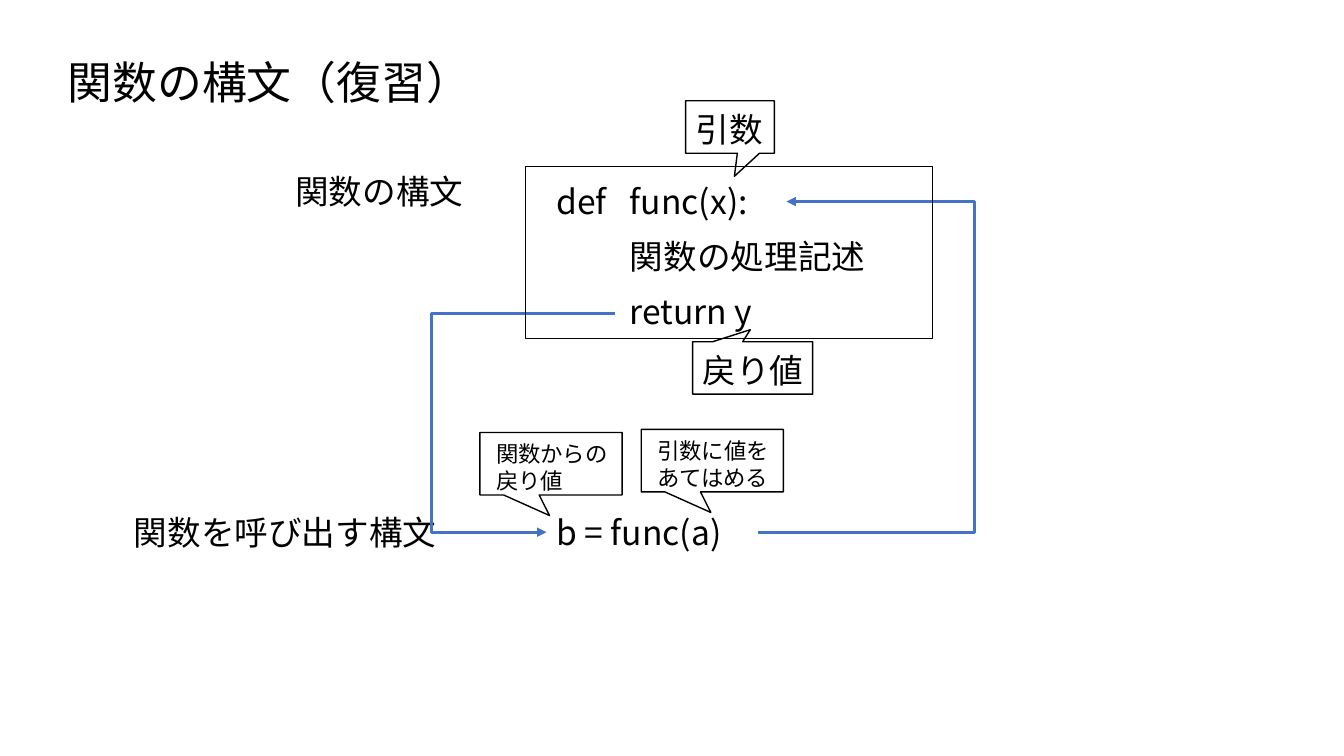
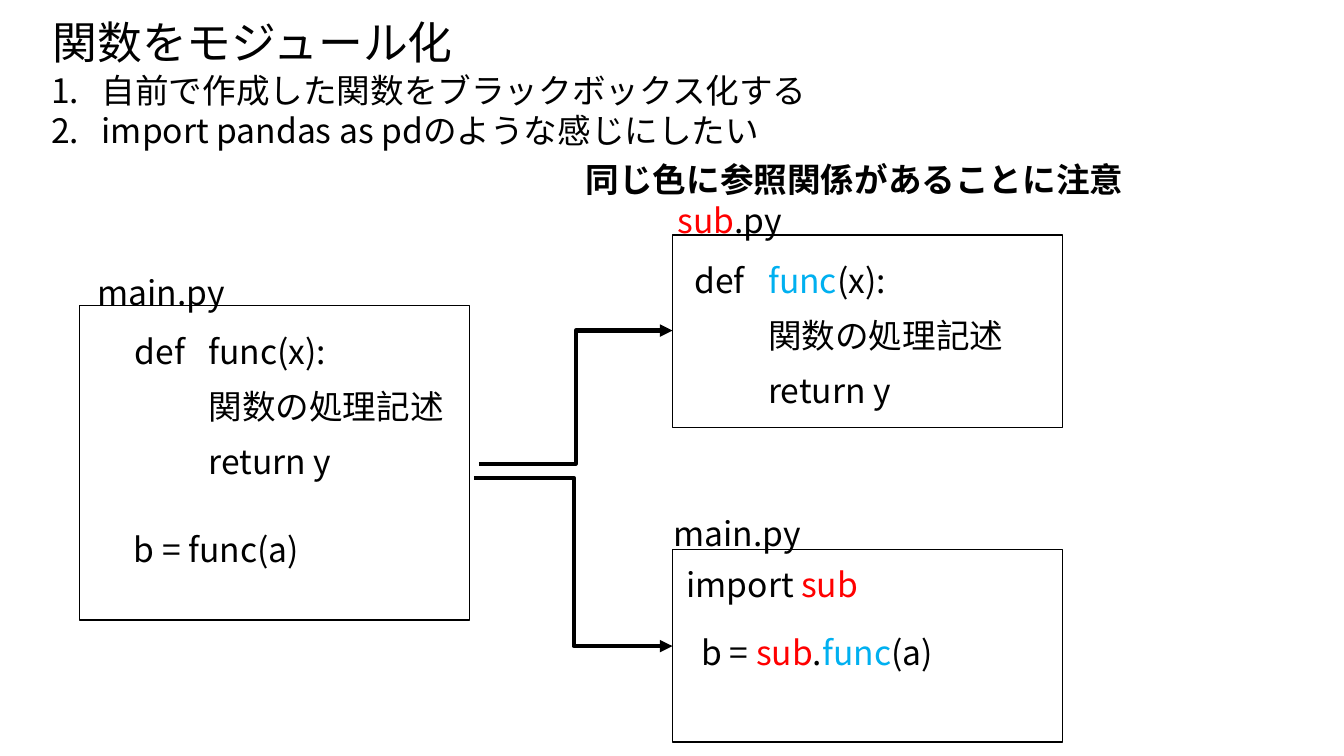
from lxml.etree import SubElement
from pptx import Presentation
from pptx.dml.color import RGBColor
from pptx.enum.shapes import MSO_CONNECTOR, MSO_SHAPE
from pptx.enum.text import MSO_ANCHOR, MSO_AUTO_SIZE, PP_ALIGN
from pptx.oxml.ns import qn
from pptx.util import Inches, Pt

FONT = "Noto Sans CJK JP"
COLORS = {"black": "000000", "blue": "4472C4", "red": "FF0000", "cyan": "00B0F0"}
LINE_HEIGHT = 1.2
CODE_INDENT = 0.73

# Code pieces: a line is a list of (text, colour) runs
SUB, FUNC = ("sub", "red"), ("func", "cyan")


def plain(text):
    return [(text, "black")]


def rgb(name):
    return RGBColor.from_string(COLORS[name])


class Deck:
    """Holds the shared style and the slide being built."""

    def __init__(self):
        self.prs = Presentation()
        self.prs.slide_width, self.prs.slide_height = Inches(13.33), Inches(7.5)
        self.s = None

    def fill_text(self, tf, lines, size=24, bold=False, gap=0):
        for i, line in enumerate(lines):
            p = tf.paragraphs[0] if i == 0 else tf.add_paragraph()
            p.alignment = PP_ALIGN.LEFT
            p.line_spacing = Pt(size * LINE_HEIGHT)
            p.space_before = Pt(gap if i else 0)
            for text, color in line:
                r = p.add_run()
                r.text = text
                r.font.size, r.font.bold = Pt(size), bold
                r.font.color.rgb = rgb(color)
                r.font.name = FONT
                SubElement(r.font._element, qn("a:ea"), typeface=FONT)

    def place(self, sp, x, y, w, h):
        sp.left, sp.top, sp.width, sp.height = (Inches(v) for v in (x, y, w, h))

    def slide(self, title, x, y):
        self.s = self.prs.slides.add_slide(self.prs.slide_layouts[5])
        sp = self.s.shapes.title
        self.place(sp, x, y, 4.24, 0.64)
        tf = sp.text_frame
        tf.word_wrap, tf.auto_size = False, MSO_AUTO_SIZE.SHAPE_TO_FIT_TEXT
        tf.vertical_anchor = MSO_ANCHOR.TOP
        self.fill_text(tf, [plain(title)], size=32)

    def text(self, x, y, w, lines, h=0.5, wrap=False, **style):
        sp = self.s.shapes.add_textbox(Inches(x), Inches(y), Inches(w), Inches(h))
        tf = sp.text_frame
        tf.word_wrap, tf.auto_size = wrap, MSO_AUTO_SIZE.SHAPE_TO_FIT_TEXT
        self.fill_text(tf, lines, **style)
        return tf

    def function(self, x, y, name=("func", "black")):
        """The three-line function definition, body indented under its name."""
        lines = [[("def\t", "black"), name, ("(x):", "black")],
                 plain("関数の処理記述"), plain("return y")]
        tf = self.text(x, y, 3.3, lines, h=1.6, wrap=True, gap=10.5)
        head, *body = tf.paragraphs
        indent = str(Inches(CODE_INDENT))
        tabs = SubElement(head._p.get_or_add_pPr(), qn("a:tabLst"))
        SubElement(tabs, qn("a:tab"), pos=indent, algn="l")
        for p in body:
            p._p.get_or_add_pPr().set("marL", indent)

    def numbered(self, x, y, w, items):
        tf = self.text(x, y, w, [plain(item) for item in items], h=0.91)
        for p in tf.paragraphs:
            pPr = p._p.get_or_add_pPr()
            pPr.set("marL", str(Inches(0.5)))
            pPr.set("indent", str(Inches(-0.5)))
            SubElement(pPr, qn("a:buFont"), typeface="+mj-lt")
            SubElement(pPr, qn("a:buAutoNum"), type="arabicPeriod")

    def box(self, x, y, w, h, kind=MSO_SHAPE.RECTANGLE):
        sp = self.s.shapes.add_shape(kind, Inches(x), Inches(y), Inches(w), Inches(h))
        sp.shadow.inherit = False
        sp.fill.background()
        sp.line.color.rgb, sp.line.width = rgb("black"), Pt(1)
        return sp

    def callout(self, x, y, w, h, text, tip, size=24, inset=0.1):
        sp = self.box(x, y, w, h, MSO_SHAPE.RECTANGULAR_CALLOUT)
        sp.adjustments[0], sp.adjustments[1] = tip
        tf = sp.text_frame
        tf.word_wrap, tf.vertical_anchor = True, MSO_ANCHOR.TOP
        tf.margin_left, tf.margin_top = Inches(inset), Inches(0.08)
        tf.margin_right = tf.margin_bottom = 0
        self.fill_text(tf, [plain(text)], size=size)

    def arrow(self, start, end, bend_x, color="black", width=3):
        """Elbow arrow whose upright part stands at bend_x."""
        c = self.s.shapes.add_connector(
            MSO_CONNECTOR.ELBOW, *(Inches(v) for v in (*start, *end)))
        c.line.color.rgb, c.line.width = rgb(color), Pt(width)
        SubElement(c.line._get_or_add_ln(), qn("a:tailEnd"), type="triangle")
        spPr = c._element.spPr
        SubElement(spPr, qn("a:effectLst"))
        bend = round((bend_x - start[0]) / (end[0] - start[0]) * 100000)
        geom = spPr.find(qn("a:prstGeom"))
        av = geom.find(qn("a:avLst"))
        if av is None:
            av = SubElement(geom, qn("a:avLst"))
        SubElement(av, qn("a:gd"), name="adj1", fmla=f"val {bend}")


def syntax_slide(d):
    d.slide("関数の構文（復習）", 0.57, 0.49)
    # Definition and call
    d.text(2.83, 1.65, 1.88, [plain("関数の構文")])
    d.function(5.42, 1.75)
    d.text(1.23, 5.03, 3.23, [plain("関数を呼び出す構文")])
    d.text(5.42, 5.03, 2.09, [plain("b = func(a)")])
    # Flow of argument and return value
    d.arrow((7.52, 5.28), (7.8, 2), 9.67, "blue", 2.25)
    d.arrow((6.1, 3.11), (5.42, 5.28), 4.28, "blue", 2.25)
    # Callouts
    d.callout(6.8, 1, 0.88, 0.52, "引数", (0.05, 0.94))
    d.callout(6.87, 3.39, 1.19, 0.52, "戻り値", (-0.02, -0.73))
    for x, y, text in ((6.36, 4.26, "引数に値をあてはめる"),
                       (4.76, 4.29, "関数からの戻り値")):
        d.callout(x, y, 1.41, 0.62, text, (-0.01, 0.83), size=16, inset=0.16)
    d.box(5.21, 1.65, 4.04, 1.71)


def module_slide(d):
    d.slide("関数をモジュール化", 0.42, 0.1)
    d.numbered(0.41, 0.64, 7.78, ["自前で作成した関数をブラックボックス化する",
                                  "import pandas as pdのような感じにしたい"])
    d.text(5.71, 1.53, 5.59, [plain("同じ色に参照関係があることに注意")], bold=True)
    # Files
    for x, y, h in ((0.79, 3.03, 3.12), (6.67, 2.33, 1.91), (6.67, 5.45, 1.91)):
        d.box(x, y, 3.87, h)
    # Single file
    d.text(0.87, 2.65, 1.53, [plain("main.py")])
    d.function(1.24, 3.23)
    d.text(1.23, 5.2, 2.09, [plain("b = func(a)")])
    # Module file
    d.text(6.62, 1.93, 1.29, [[SUB, (".py", "black")]])
    d.function(6.79, 2.53, FUNC)
    # Importing file
    d.text(6.58, 5.04, 1.53, [plain("main.py")])
    d.text(6.71, 5.55, 1.98, [[("import ", "black"), SUB]])
    d.text(6.86, 6.22, 2.79,
           [[("b = ", "black"), SUB, (".", "black"), FUNC, ("(a)", "black")]])
    # Split into two files
    d.arrow((4.75, 4.6), (6.67, 3.28), 5.71)
    d.arrow((4.7, 4.74), (6.67, 6.41), 5.69)


def main():
    d = Deck()
    syntax_slide(d)
    module_slide(d)
    d.prs.save("out.pptx")


if __name__ == "__main__":
    main()
